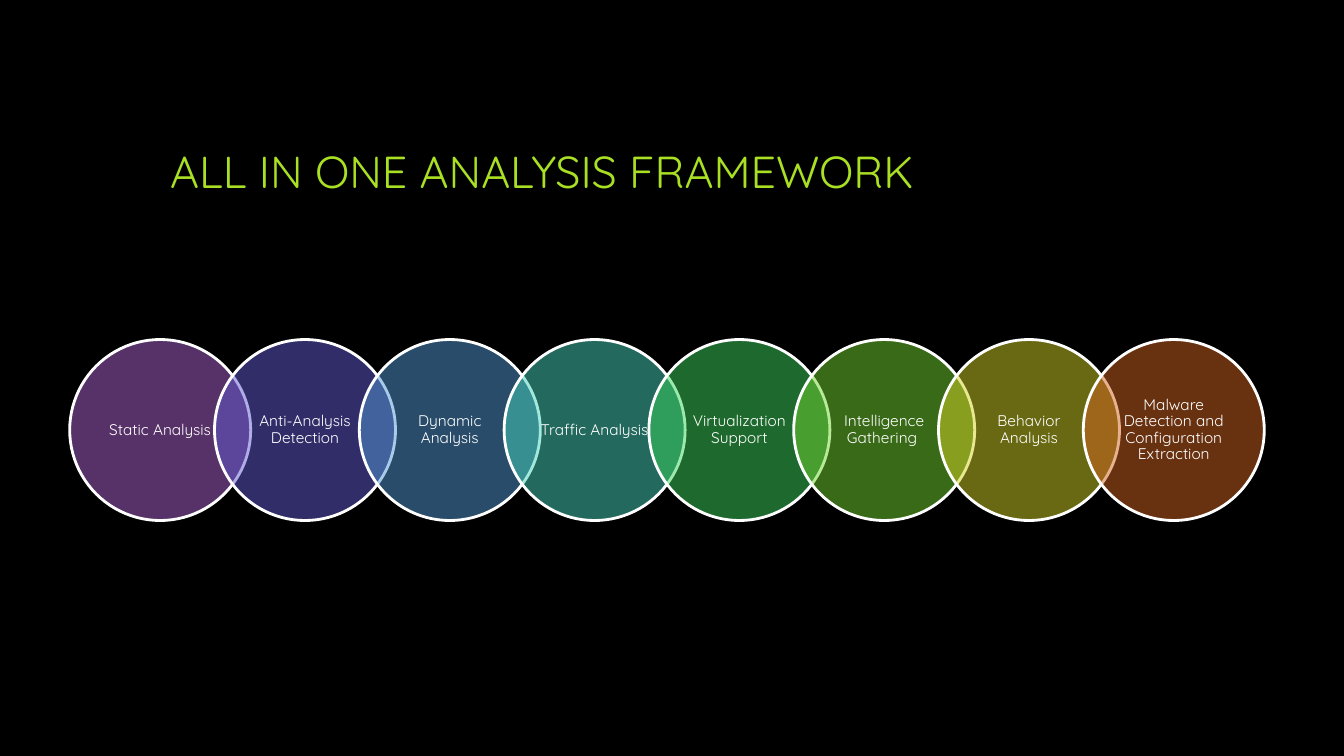
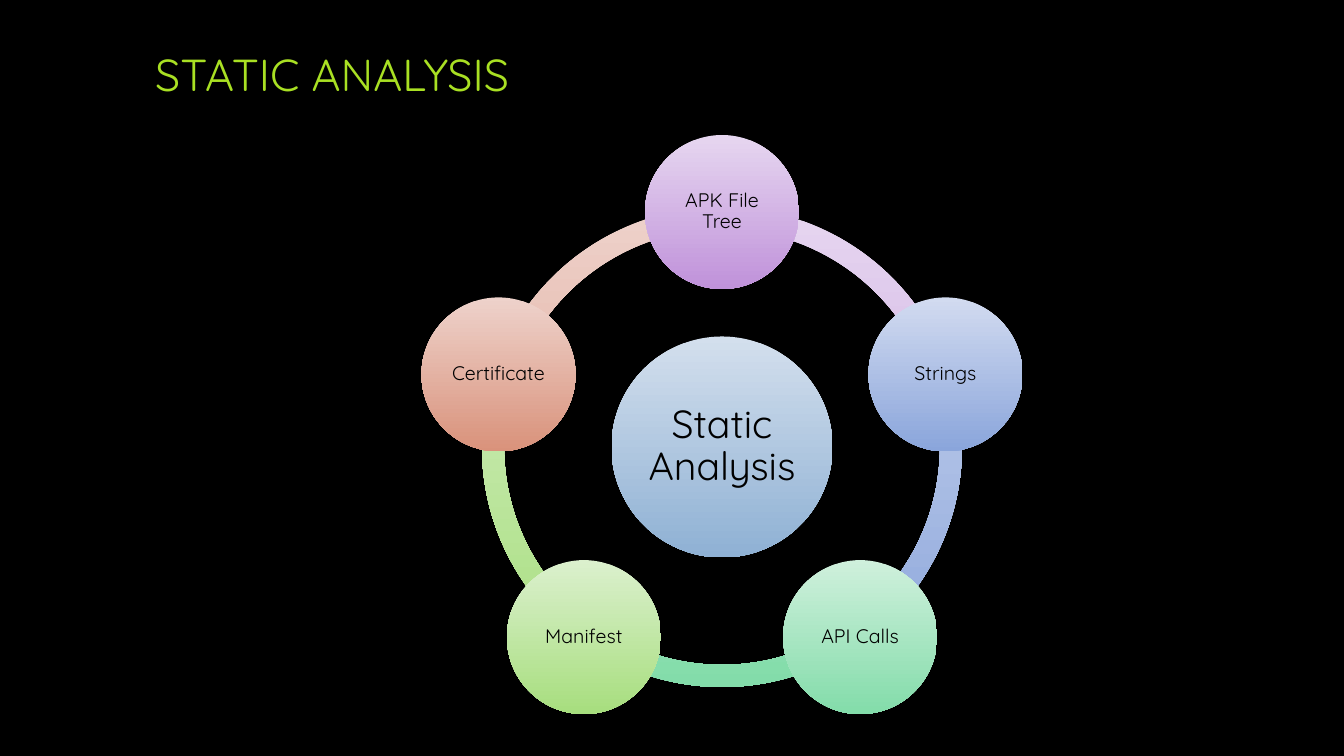
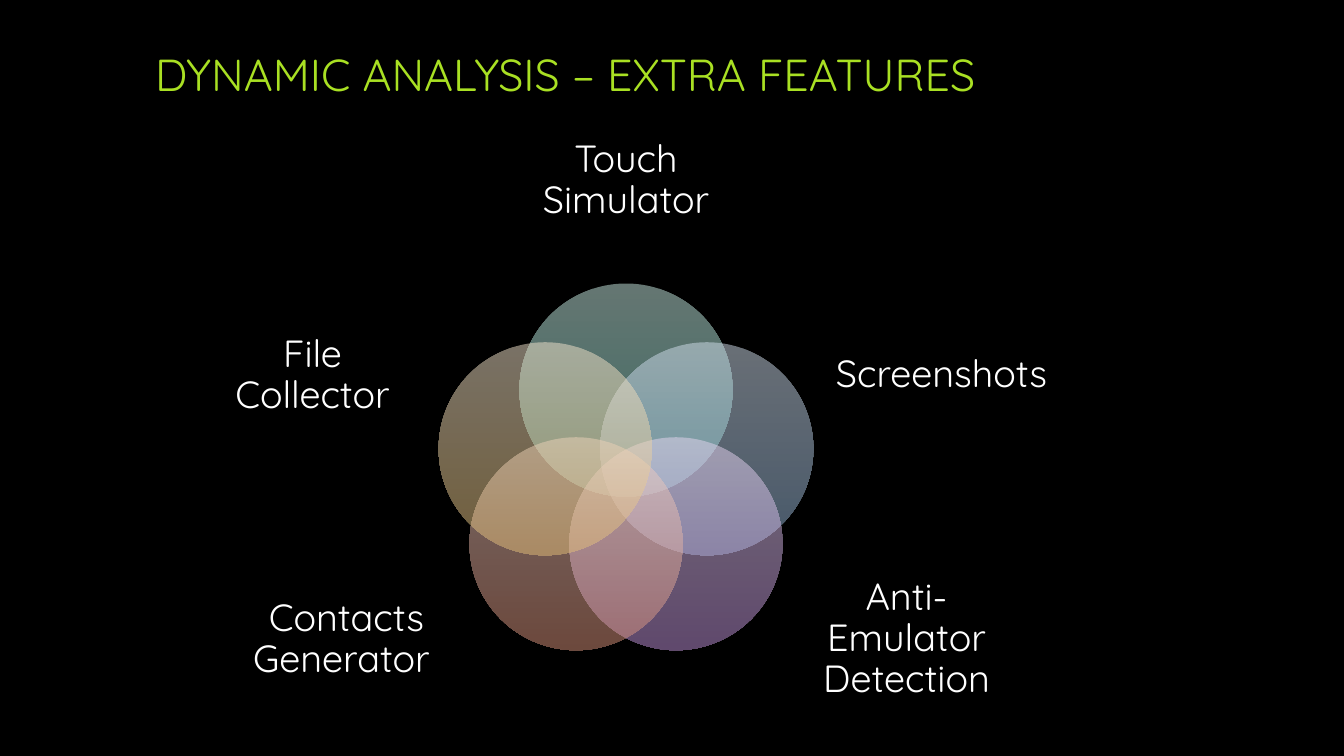
from math import cos, radians, sin

from pptx import Presentation
from pptx.dml.color import RGBColor
from pptx.enum.shapes import MSO_SHAPE
from pptx.enum.text import MSO_ANCHOR, PP_ALIGN
from pptx.oxml.ns import qn
from pptx.util import Emu, Pt
from lxml.etree import SubElement

FONT = "Quicksand"
BLACK = RGBColor(0x00, 0x00, 0x00)
WHITE = RGBColor(0xFF, 0xFF, 0xFF)
LIME = RGBColor(0xA9, 0xE0, 0x23)

PURPLE = RGBColor(0xAE, 0x65, 0xD1)
INDIGO = RGBColor(0x62, 0x5B, 0xD1)
BLUE = RGBColor(0x51, 0x98, 0xD2)
TEAL = RGBColor(0x46, 0xD3, 0xBB)
GREEN = RGBColor(0x3C, 0xD4, 0x5D)
GRASS = RGBColor(0x72, 0xD5, 0x31)
YELLOW = RGBColor(0xD5, 0xD3, 0x27)
ORANGE = RGBColor(0xD0, 0x64, 0x23)

LILAC = (RGBColor(0xE6, 0xD6, 0xF0), RGBColor(0xC0, 0x92, 0xDA))
SKY = (RGBColor(0xD2, 0xDB, 0xF0), RGBColor(0x8A, 0xA5, 0xDB))
MINT = (RGBColor(0xCF, 0xF0, 0xDC), RGBColor(0x83, 0xDC, 0xAA))
LEAF = (RGBColor(0xDB, 0xF0, 0xCD), RGBColor(0xA7, 0xDE, 0x7E))
CORAL = (RGBColor(0xEE, 0xD2, 0xCB), RGBColor(0xD9, 0x92, 0x7B))
STEEL = (RGBColor(0xD3, 0xDF, 0xED), RGBColor(0x8F, 0xB1, 0xD4))
AQUA = (RGBColor(0xCA, 0xED, 0xE5), RGBColor(0x7B, 0xD7, 0xC6))
SAND = (RGBColor(0xF3, 0xE4, 0xCC), RGBColor(0xE3, 0xBE, 0x79))


def px(size):
    return Emu(round(size * 914400 / 100.8))


def around(mid, radius, index, count=5):
    turn = radians(360 / count * index)
    return mid[0] + radius * sin(turn), mid[1] - radius * cos(turn)


class Deck:
    def __init__(self):
        self.prs = Presentation()
        self.prs.slide_width, self.prs.slide_height = px(1344), px(756)
        back = self.prs.slide_master.background.fill
        back.solid()
        back.fore_color.rgb = BLACK
        self.slide = None

    def start(self, title, left=145, top=-20):
        self.slide = self.prs.slides.add_slide(self.prs.slide_layouts[5])
        head = self.slide.shapes.title
        head.left, head.top = px(left), px(top)
        head.width, head.height = px(1105), px(194)
        self.letter(head, title, 32, LIME, PP_ALIGN.LEFT)

    def letter(self, shape, text, size, color, align=PP_ALIGN.CENTER, inset=None):
        frame = shape.text_frame
        frame.text = text
        frame.word_wrap = True
        frame.vertical_anchor = MSO_ANCHOR.MIDDLE
        if inset is not None:
            frame.margin_left = frame.margin_right = px(inset[0])
            frame.margin_top = frame.margin_bottom = px(inset[1])
        para = frame.paragraphs[0]
        para.alignment = align
        para.line_spacing = 0.9
        font = para.runs[0].font
        font.name, font.size = FONT, Pt(size)
        font.color.rgb = color

    def paint(self, shape, color, alpha=100):
        shape.shadow.inherit = False
        shape.line.fill.background()
        fill = shape.fill
        if isinstance(color, RGBColor):
            fill.solid()
            fill.fore_color.rgb = color
        else:
            fill.gradient()
            fill.gradient_angle = 270
            for stop, tone in zip(fill.gradient_stops, color):
                stop.color.rgb = tone
        if alpha < 100:
            for tone in shape.element.spPr.iter(qn("a:srgbClr")):
                SubElement(tone, qn("a:alpha")).set("val", str(alpha * 1000))

    def disc(self, mid, size, color, alpha=100):
        left, top = mid[0] - size / 2, mid[1] - size / 2
        shape = self.slide.shapes.add_shape(
            MSO_SHAPE.OVAL, px(left), px(top), px(size), px(size))
        self.paint(shape, color, alpha)
        return shape

    def arc(self, mid, size, begin, end, color):
        left, top = mid[0] - size / 2, mid[1] - size / 2
        shape = self.slide.shapes.add_shape(
            MSO_SHAPE.BLOCK_ARC, px(left), px(top), px(size), px(size))
        for i, value in enumerate((begin % 360 * 0.6, end % 360 * 0.6, 0.046)):
            shape.adjustments[i] = value
        self.paint(shape, color)

    def label(self, text, left, top, width, height):
        box = self.slide.shapes.add_textbox(
            px(left), px(top), px(width), px(height))
        self.letter(box, text, 27, WHITE, inset=(0, 0))


def frame_slide(deck):
    deck.start("ALL IN ONE ANALYSIS FRAMEWORK", 160, 77)
    steps = (
        ("Static Analysis", PURPLE),
        ("Anti-Analysis Detection", INDIGO),
        ("Dynamic Analysis", BLUE),
        ("Traffic Analysis", TEAL),
        ("Virtualization Support", GREEN),
        ("Intelligence Gathering ", GRASS),
        ("Behavior Analysis", YELLOW),
        ("Malware Detection and Configuration Extraction", ORANGE),
    )
    for i, (text, color) in enumerate(steps):
        disc = deck.disc((160.2 + 144.8 * i, 430), 181, color, 50)
        disc.line.color.rgb = WHITE
        disc.line.width = Pt(2)
        deck.letter(disc, text, 11, WHITE, inset=(10, 2))


def static_slide(deck):
    deck.start("STATIC ANALYSIS")
    mid = (722, 447)
    nodes = (
        ("APK File Tree", LILAC),
        ("Strings", SKY),
        ("API Calls", MINT),
        ("Manifest", LEAF),
        ("Certificate", CORAL),
    )
    for i, (text, color) in reversed(list(enumerate(nodes))):
        deck.arc(mid, 480, 270 + 72 * i, 342 + 72 * i, color)
    hub = deck.disc(mid, 221, STEEL)
    deck.letter(hub, "Static Analysis", 28, BLACK, inset=(4, 4))
    for i, (text, color) in enumerate(nodes):
        disc = deck.disc(around(mid, 235, i), 154, color)
        deck.letter(disc, text, 14, BLACK, inset=(2, 2))


def extra_slide(deck):
    deck.start("DYNAMIC ANALYSIS – EXTRA FEATURES")
    parts = (
        ("Touch Simulator", AQUA, (503, 110, 246, 142)),
        ("Screenshots", STEEL, (831, 298, 221, 155)),
        ("Anti-Emulator Detection", LILAC, (796, 562, 221, 155)),
        ("Contacts Generator ", CORAL, (236, 562, 221, 155)),
        ("File Collector", SAND, (202, 298, 221, 155)),
    )
    for i, (text, color, place) in enumerate(parts):
        deck.disc(around((626, 475), 85, i), 213, color, 50)
        deck.label(text, *place)


def main():
    deck = Deck()
    frame_slide(deck)
    static_slide(deck)
    extra_slide(deck)
    deck.prs.save("out.pptx")


if __name__ == "__main__":
    main()
